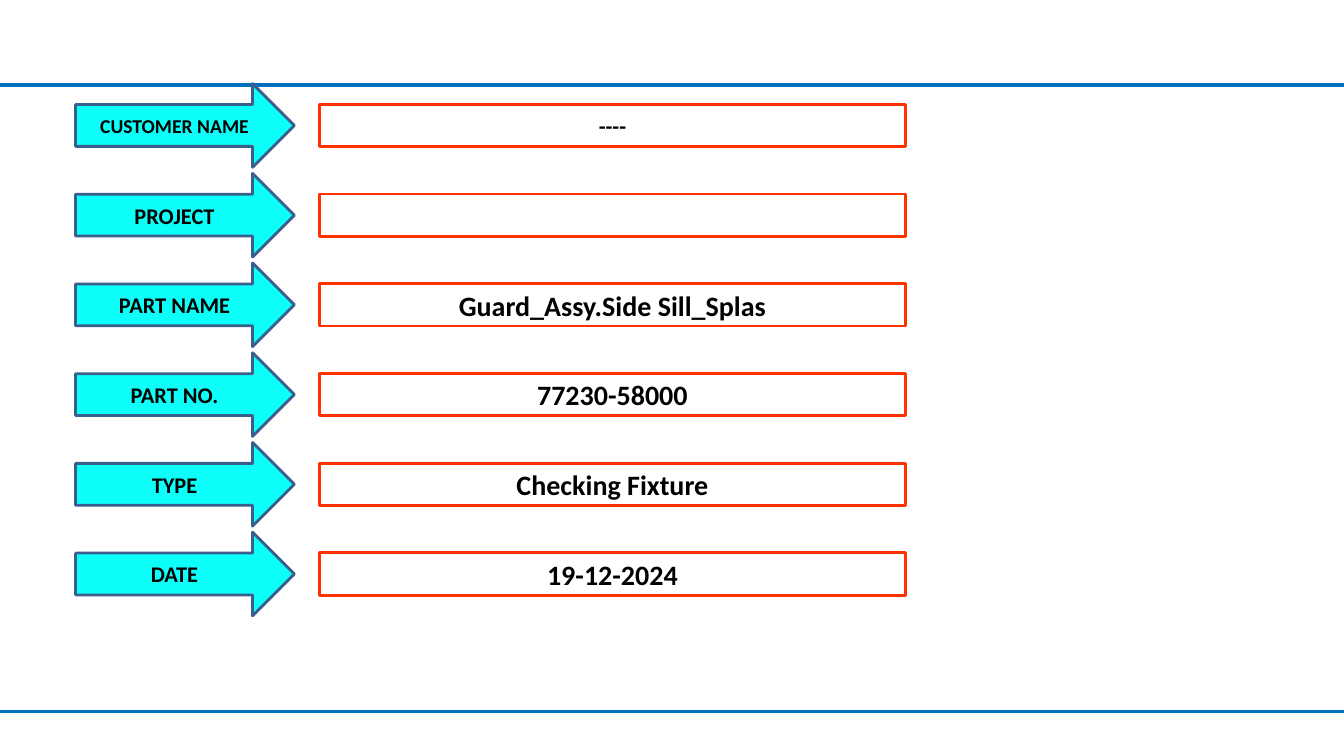
from lxml import etree
from pptx import Presentation
from pptx.dml.color import RGBColor
from pptx.enum.shapes import MSO_CONNECTOR, MSO_SHAPE
from pptx.enum.text import MSO_ANCHOR, PP_ALIGN
from pptx.oxml.ns import qn
from pptx.util import Inches, Pt

COLORS = {
    "background": "FFFFFF",
    "rule": "0070C0",
    "arrow": "0DFFF9",
    "arrow_edge": "3A5F8C",
    "box_edge": "FF3300",
    "text": "000000",
}

FIRST_TOP, ROW_PITCH = 0.83, 0.89
ARROW_LEFT, ARROW_WIDTH, ARROW_HEIGHT = 0.75, 2.17, 0.83
BOX_LEFT, BOX_WIDTH, BOX_HEIGHT = 3.17, 5.81, 0.42

# label, label size, value, value size
FIELDS = [
    ("CUSTOMER NAME", 14, "----", 16),
    ("PROJECT", 16, "", 16),
    ("PART NAME", 16, "Guard_Assy.Side Sill_Splas", 20),
    ("PART NO.", 16, "77230-58000", 20),
    ("TYPE", 16, "Checking Fixture", 20),
    ("DATE", 16, "19-12-2024", 20),
]


def rgb(name):
    return RGBColor.from_string(COLORS[name])


def add_field(kind, left, top, width, height, edge, text, size):
    """Add an outlined, unfilled shape with centred bold text."""
    field = slide.shapes.add_shape(
        kind, Inches(left), Inches(top), Inches(width), Inches(height))
    field.shadow.inherit = False
    field.fill.background()
    field.line.color.rgb = rgb(edge)
    field.line.width = Pt(2)
    frame = field.text_frame
    frame.word_wrap = True
    frame.vertical_anchor = MSO_ANCHOR.MIDDLE
    if text:
        paragraph = frame.paragraphs[0]
        paragraph.alignment = PP_ALIGN.CENTER
        run = paragraph.add_run()
        run.text = text
        run.font.name = "Calibri"
        run.font.size = Pt(size)
        run.font.bold = True
        run.font.color.rgb = rgb("text")
    return field


prs = Presentation()
prs.slide_width = Inches(13.33)
prs.slide_height = Inches(7.5)
slide = prs.slides.add_slide(prs.slide_layouts[6])
slide.background.fill.solid()
slide.background.fill.fore_color.rgb = rgb("background")

# Header and footer rules
for y, weight in [(0.84, 3), (7.06, 2.25)]:
    rule = slide.shapes.add_connector(
        MSO_CONNECTOR.STRAIGHT, 0, Inches(y), prs.slide_width, Inches(y))
    rule.line.color.rgb = rgb("rule")
    rule.line.width = Pt(weight)
    etree.SubElement(rule._element.spPr, qn("a:effectLst"))

# One arrow and one value box per field
for row, (label, label_size, value, value_size) in enumerate(FIELDS):
    top = FIRST_TOP + row * ROW_PITCH
    arrow = add_field(MSO_SHAPE.RIGHT_ARROW, ARROW_LEFT, top, ARROW_WIDTH,
                      ARROW_HEIGHT, "arrow_edge", label, label_size)
    arrow.fill.solid()
    arrow.fill.fore_color.rgb = rgb("arrow")
    box_top = top + (ARROW_HEIGHT - BOX_HEIGHT) / 2
    add_field(MSO_SHAPE.RECTANGLE, BOX_LEFT, box_top, BOX_WIDTH,
              BOX_HEIGHT, "box_edge", value, value_size)

prs.save("out.pptx")
